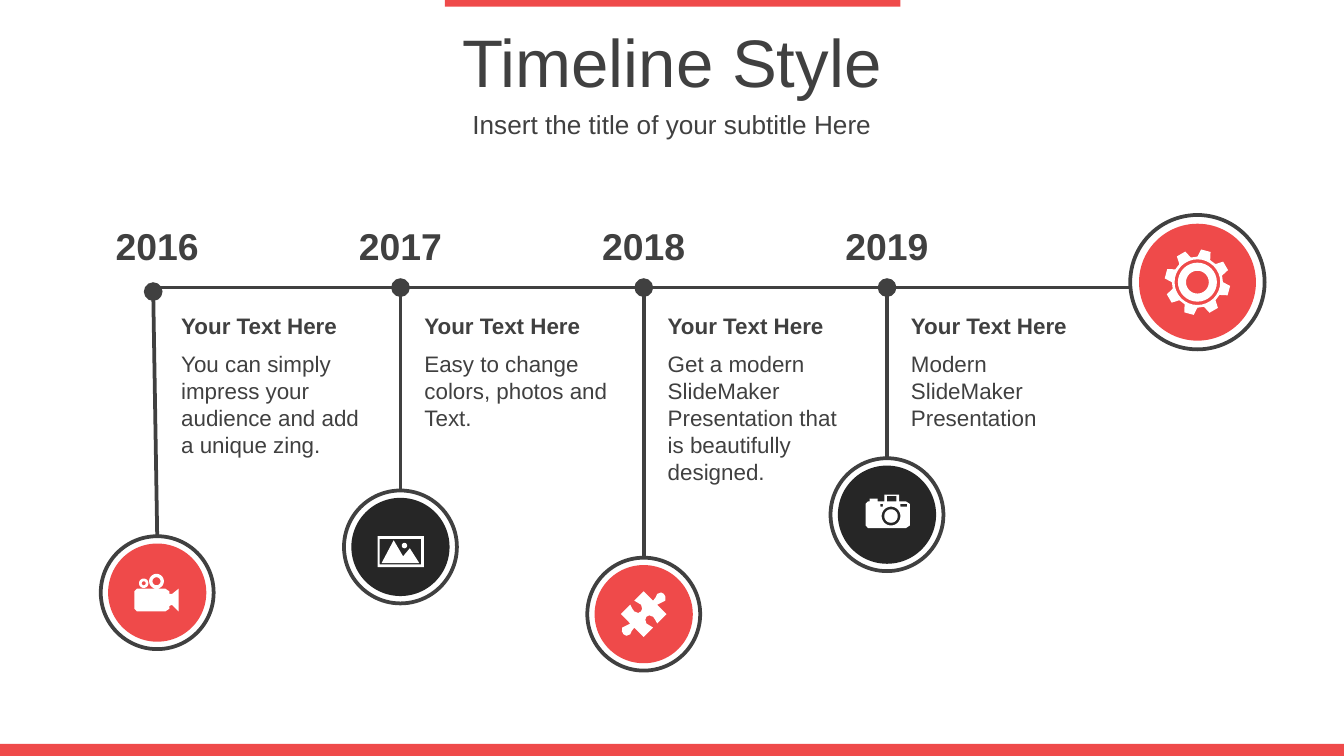
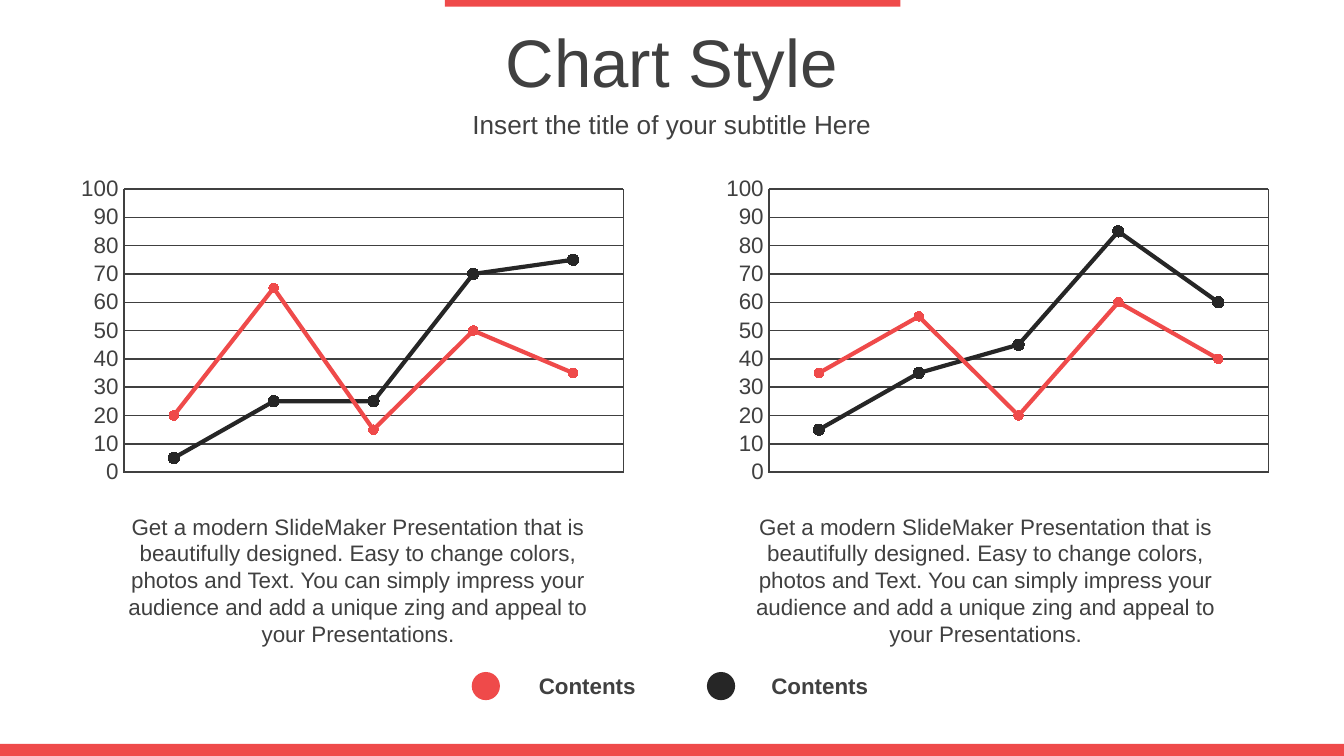
"""Build a timeline slide and a line chart slide that share one theme."""
from dataclasses import dataclass
from math import cos, pi, radians, sin

from lxml import etree
from pptx import Presentation
from pptx.chart.data import CategoryChartData
from pptx.dml.color import RGBColor
from pptx.enum.chart import XL_CHART_TYPE, XL_MARKER_STYLE, XL_TICK_MARK
from pptx.enum.shapes import MSO_CONNECTOR, MSO_SHAPE
from pptx.enum.text import MSO_ANCHOR, MSO_AUTO_SIZE, PP_ALIGN
from pptx.oxml import parse_xml
from pptx.oxml.ns import nsdecls, qn
from pptx.util import Inches, Pt

LINE_MARKERS = XL_CHART_TYPE.LINE_MARKERS
ROUND_MARKER = XL_MARKER_STYLE.CIRCLE
NO_TICK = XL_TICK_MARK.NONE
STRAIGHT = MSO_CONNECTOR.STRAIGHT
RECTANGLE, OVAL = MSO_SHAPE.RECTANGLE, MSO_SHAPE.OVAL
LEFT, CENTER = PP_ALIGN.LEFT, PP_ALIGN.CENTER
MIDDLE = MSO_ANCHOR.MIDDLE
GROW = MSO_AUTO_SIZE.SHAPE_TO_FIT_TEXT


@dataclass(frozen=True)
class Theme:
    """Colours, font, type sizes and line widths."""
    red: str = "EF4A4A"
    black: str = "262626"
    grey: str = "404040"
    white: str = "FFFFFF"
    font: str = "Arial"
    title: int = 36
    subtitle: int = 14
    year: int = 20
    body: int = 12
    chart: int = 10
    stroke: float = 2
    series: float = 2.25
    grid: float = 0.75


THEME = Theme()
WIDTH = 10
HEIGHT = WIDTH * 9 / 16
SUBTITLE = "Insert the title of your subtitle Here"

MILESTONE_HEADING = "Your Text Here"
MILESTONES = [
    {"year": "2016", "text": "You can simply impress your audience and add a unique zing.",
     "lines": 4, "ring_top": 3.99, "color": THEME.red, "icon": "video"},
    {"year": "2017", "text": "Easy to change colors, photos and Text.",
     "lines": 3, "ring_top": 3.65, "color": THEME.black, "icon": "landscape"},
    {"year": "2018", "text": "Get a modern SlideMaker Presentation that is beautifully designed.",
     "lines": 5, "ring_top": 4.15, "color": THEME.red, "icon": "puzzle"},
    {"year": "2019", "text": "Modern SlideMaker Presentation",
     "lines": 3, "ring_top": 3.41, "color": THEME.black, "icon": "camera"},
]
FIRST_X, PITCH, AXIS_Y = 1.17, 1.81, 2.14
RING, GOAL_RING = 0.84, 1
GOAL_X, GOAL_Y = 8.91, 2.1

CATEGORIES = ["1", "2", "3", "4", "5"]
SERIES_STYLES = [("Series 1", THEME.black, 6), ("Series 2", THEME.red, 5)]
CHART_TEXT = ("Get a modern SlideMaker Presentation that is beautifully designed. "
              "Easy to change colors, photos and Text. You can simply impress your "
              "audience and add a unique zing and appeal to your Presentations.")
CHARTS = [
    {"left": 5.32, "text_left": 5.42,
     "values": [(15, 35, 45, 85, 60), (35, 55, 20, 60, 40)]},
    {"left": 0.52, "text_left": 0.75,
     "values": [(5, 25, 25, 70, 75), (20, 65, 15, 50, 35)]},
]
LEGEND = [("Contents", THEME.red, 3.51, 3.85), ("Contents", THEME.black, 5.26, 5.58)]


def circle(x, y, radius, steps=32):
    """Return the outline of a circle."""
    angles = (2 * pi * step / steps for step in range(steps))
    return [(x + radius * cos(angle), y + radius * sin(angle)) for angle in angles]


def box(left, top, right, bottom):
    """Return the outline of a rectangle."""
    return [(left, top), (right, top), (right, bottom), (left, bottom)]


def cog(teeth=8, start=-75, root=19, tip=24.5):
    """Return the outline of a toothed wheel."""
    profile = [(-15, root), (-8.5, tip), (8.5, tip), (15, root)]
    return [(radius * cos(radians(start + tooth * 360 / teeth + offset)),
             radius * sin(radians(start + tooth * 360 / teeth + offset)))
            for tooth in range(teeth) for offset, radius in profile]


PUZZLE_HALF = [
    (7, -10), (8.9, -12.5), (10, -15), (12.9, -16.1), (15, -15), (16.2, -12.9), (16, -10),
    (13, -8.5), (10, -7), (17, 0), (10, 7), (8.5, 4.1), (7, 2), (4.1, 0.9), (2, 2),
    (1.2, 4.1), (2, 7), (4.5, 8.5), (7, 10), (0, 17)]
ICONS = {
    "gear": [cog(), circle(0, 0, 17), circle(0, 0, 14.5), circle(0, 0, 8.5)],
    "video": [
        [(-17, -1), (-15, -3), (6, -3), (9, -1), (9, 1), (11, 1), (16, -3), (16, 14),
         (11, 9), (9, 10), (9, 12), (6, 14), (-15, 14), (-17, 12)],
        circle(-0.5, -8.5, 5.5), circle(-0.5, -8.5, 3),
        circle(-10, -7, 3.5), circle(-10, -7, 1.5)],
    "landscape": [
        box(-17, -8, 17.5, 15), box(-15.5, -6, 15.5, 13), circle(3, -1, 2),
        [(-14, 12), (-5, -5), (2, 7), (7, 1), (14, 12)]],
    "puzzle": [PUZZLE_HALF + [(-x, -y) for x, y in PUZZLE_HALF]],
    "camera": [
        [(-14, 10), (-16, 8), (-16, -8), (-14, -10), (-13, -10), (-13, -12), (-7, -12),
         (-7, -10), (-2, -10), (-2, -15), (9, -15), (9, -10), (14, -10), (17, -8),
         (17, 8), (14, 10)],
        box(0, -14, 7, -10), box(10, -8, 15, -6), box(-5, -8, -3, -6),
        circle(3, 1, 7), circle(3, 1, 5)],
}


def rgb(color):
    return RGBColor.from_string(color)


def inches(*lengths):
    return [Inches(length) for length in lengths]


def paint(shape, fill, line=None):
    shape.shadow.inherit = False
    shape.fill.solid()
    shape.fill.fore_color.rgb = rgb(fill)
    if line:
        shape.line.color.rgb = rgb(line)
        shape.line.width = Pt(THEME.stroke)
    else:
        shape.line.fill.background()


def add_block(slide, kind, area, fill, line=None):
    paint(slide.shapes.add_shape(kind, *inches(*area)), fill, line)


def add_text(slide, area, text, size, align=CENTER, bold=False, grow=False):
    frame = slide.shapes.add_textbox(*inches(*area)).text_frame
    frame.word_wrap = True
    frame.vertical_anchor = MIDDLE
    if grow:
        frame.auto_size = GROW
    paragraph = frame.paragraphs[0]
    paragraph.alignment = align
    run = paragraph.add_run()
    run.text = text
    run.font.name, run.font.size, run.font.bold = THEME.font, Pt(size), bold
    run.font.color.rgb = rgb(THEME.grey)


def add_line(slide, start, end, dot=False):
    connector = slide.shapes.add_connector(STRAIGHT, *inches(*start, *end))
    connector.line.color.rgb = rgb(THEME.grey)
    connector.line.width = Pt(THEME.stroke)
    properties = connector.element.spPr
    if dot:
        etree.SubElement(properties.find(qn("a:ln")), qn("a:headEnd"),
                         type="oval", w="lg", len="lg")
    etree.SubElement(properties, qn("a:effectLst"))


def add_icon(slide, icon, x, y):
    """Draw an icon, given in hundredths of an inch around its centre."""
    detail = 100
    first, *others = [[(px * detail, py * detail) for px, py in outline]
                      for outline in ICONS[icon]]
    builder = slide.shapes.build_freeform(*first[0], scale=Inches(0.01) / detail)
    builder.add_line_segments(first[1:], close=True)
    for outline in others:
        builder.move_to(*outline[0])
        builder.add_line_segments(outline[1:], close=True)
    paint(builder.convert_to_shape(*inches(x, y)), THEME.white)


def add_badge(slide, x, y, size, color, icon):
    for diameter, fill, line in ((size, THEME.white, THEME.grey), (size * 0.87, color, None)):
        corner = (x - diameter / 2, y - diameter / 2)
        add_block(slide, OVAL, (*corner, diameter, diameter), fill, line)
    add_icon(slide, icon, x, y)


def add_base(deck, title):
    slide = deck.slides.add_slide(deck.slide_layouts[6])
    band = 0.09
    add_block(slide, RECTANGLE, (3.31, 0, 3.39, 0.05), THEME.red)
    add_block(slide, RECTANGLE, (0, HEIGHT - band, WIDTH, band), THEME.red)
    add_text(slide, (0, 0.14, WIDTH, 0.63), title, THEME.title)
    add_text(slide, (0, 0.77, WIDTH, 0.31), SUBTITLE, THEME.subtitle)
    return slide


def add_timeline(deck):
    slide = add_base(deck, "Timeline Style")
    add_line(slide, (FIRST_X, AXIS_Y), (GOAL_X - GOAL_RING / 2, AXIS_Y))
    add_badge(slide, GOAL_X, GOAL_Y, GOAL_RING, THEME.red, "gear")
    for index, milestone in enumerate(MILESTONES):
        x = FIRST_X + index * PITCH
        start = (x, AXIS_Y) if index else (x - 0.03, AXIS_Y + 0.03)
        add_line(slide, start, (x, milestone["ring_top"]), dot=True)
        add_badge(slide, x, milestone["ring_top"] + RING / 2, RING,
                  milestone["color"], milestone["icon"])
        add_text(slide, (x - 0.58, 1.59, 1.16, 0.47), milestone["year"], THEME.year, bold=True)
        text_left, text_width = x + 0.08, 1.57
        add_text(slide, (text_left, 2.55, text_width, 0.11 + 0.2 * milestone["lines"]),
                 milestone["text"], THEME.body, LEFT, grow=True)
        add_text(slide, (text_left, 2.27, text_width, 0.3), MILESTONE_HEADING, THEME.body,
                 LEFT, bold=True, grow=True)


def style_line(line, color, width):
    line.color.rgb = rgb(color)
    line.width = Pt(width)


def add_line_chart(slide, left, values):
    data = CategoryChartData()
    data.categories = CATEGORIES
    for (name, _, _), points in zip(SERIES_STYLES, values):
        data.add_series(name, points)
    chart = slide.shapes.add_chart(LINE_MARKERS, *inches(left, 1.27, 4.2, 2.38), data).chart
    chart.has_title = chart.has_legend = False
    chart.font.name, chart.font.size = THEME.font, Pt(THEME.chart)
    chart.category_axis.visible = False

    axis = chart.value_axis
    axis.minimum_scale, axis.maximum_scale, axis.major_unit = 0, 100, 10
    axis.major_tick_mark = axis.minor_tick_mark = NO_TICK
    axis.has_major_gridlines = True
    style_line(axis.major_gridlines.format.line, THEME.grey, THEME.grid)
    style_line(axis.format.line, THEME.grey, THEME.grid)
    labels = axis.tick_labels.font
    labels.name, labels.size = THEME.font, Pt(THEME.body)
    labels.color.rgb = rgb(THEME.grey)

    plot = chart.plots[0]
    plot.vary_by_categories = False
    for series, (_, color, marker_size) in zip(plot.series, SERIES_STYLES):
        series.smooth = False
        style_line(series.format.line, color, THEME.series)
        marker = series.marker
        marker.style, marker.size = ROUND_MARKER, marker_size
        marker.format.fill.solid()
        marker.format.fill.fore_color.rgb = rgb(color)
        marker.format.line.color.rgb = rgb(color)

    chart.element.find(".//" + qn("c:plotArea")).append(parse_xml(
        f'<c:spPr {nsdecls("c", "a")}><a:noFill/><a:ln w="0"><a:solidFill>'
        f'<a:srgbClr val="{THEME.grey}"/></a:solidFill></a:ln></c:spPr>'))


def add_charts(deck):
    slide = add_base(deck, "Chart Style")
    for panel in CHARTS:
        add_line_chart(slide, panel["left"], panel["values"])
        add_text(slide, (panel["text_left"], 3.76, 3.83, 1.11), CHART_TEXT, THEME.body, grow=True)
    for label, color, dot_left, label_left in LEGEND:
        add_block(slide, OVAL, (dot_left, 5, 0.21, 0.21), color)
        add_text(slide, (label_left, 4.95, 1.04, 0.3), label, THEME.body, bold=True, grow=True)


def main():
    deck = Presentation()
    deck.slide_width, deck.slide_height = inches(WIDTH, HEIGHT)
    add_timeline(deck)
    add_charts(deck)
    deck.save("out.pptx")


if __name__ == "__main__":
    main()
